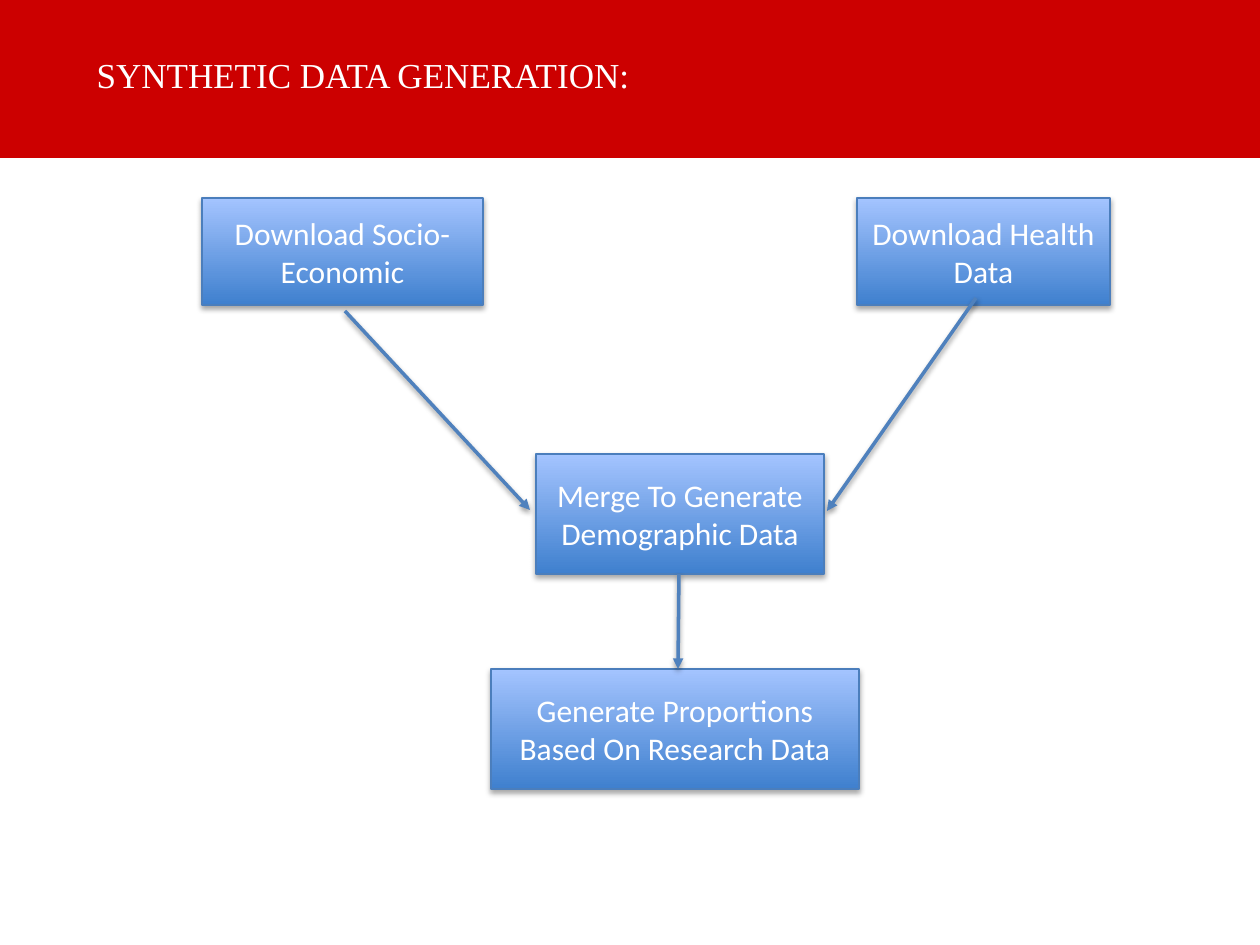
from pptx import Presentation
from pptx.dml.color import RGBColor
from pptx.enum.shapes import MSO_CONNECTOR as LINK, MSO_SHAPE as SHAPE
from pptx.enum.text import MSO_ANCHOR as ANCHOR, PP_ALIGN as ALIGN
from pptx.oxml.ns import qn
from pptx.util import Pt
from lxml.etree import SubElement

PX = 914400 // 126
HUES = {"bar": "CC0000", "text": "FFFFFF", "low": "3F80CE",
        "high": "A4C4FF", "edge": "4B7EBC", "arrow": "4F81BD"}
TITLE = "SYNTHETIC DATA GENERATION:"
BOXES = [
    (["Download Socio-Economic"], (202, 198, 281, 107)),
    (["Merge To Generate Demographic Data"], (536, 454, 288, 120)),
    (["Download Health Data"], (857, 198, 253, 107)),
    (["Generate Proportions", "Based On Research Data"], (491, 669, 368, 120)),
]
ARROWS = [
    (679, 574, 678, 669),
    (345, 311, 530, 510),
    (976, 298, 827, 511),
]


def scale(nums):
    return [n * PX for n in nums]


def hue(name):
    return RGBColor.from_string(HUES[name])


def write(frame, lines, font, size, align):
    frame.word_wrap = True
    frame.vertical_anchor = ANCHOR.MIDDLE
    frame.text = "\n".join(lines)
    for para in frame.paragraphs:
        para.alignment = align
        para.font.name = font
        para.font.size = Pt(size)
        para.font.color.rgb = hue("text")


def add_bar(slide):
    bar = slide.shapes.add_shape(SHAPE.RECTANGLE, *scale((0, 0, 1260, 158)))
    bar.fill.solid()
    bar.fill.fore_color.rgb = hue("bar")
    bar.line.fill.background()
    bar.shadow.inherit = False
    slide.shapes.title._element.addprevious(bar._element)


def add_title(slide):
    title = slide.shapes.title
    title.left, title.top, title.width, title.height = scale((84, -4, 1036, 158))
    write(title.text_frame, [TITLE], "Times New Roman", 20, ALIGN.LEFT)


def add_box(slide, lines, place):
    box = slide.shapes.add_shape(SHAPE.RECTANGLE, *scale(place))
    box.fill.gradient()
    box.fill.gradient_angle = 90
    for stop, name, spot in zip(box.fill.gradient_stops, ("low", "high"), (0, 1)):
        stop.color.rgb = hue(name)
        stop.position = spot
    box.line.color.rgb = hue("edge")
    box.line.width = Pt(0.75)
    write(box.text_frame, lines, "Calibri", 18, ALIGN.CENTER)


def add_arrow(slide, ends):
    arrow = slide.shapes.add_connector(LINK.STRAIGHT, *scale(ends))
    arrow.line.color.rgb = hue("arrow")
    arrow.line.width = Pt(2)
    SubElement(arrow.line._get_or_add_ln(), qn("a:tailEnd"), type="triangle")


def main():
    deck = Presentation()
    deck.slide_width, deck.slide_height = scale((1260, 945))
    slide = deck.slides.add_slide(deck.slide_layouts[5])
    add_bar(slide)
    add_title(slide)
    for lines, place in BOXES:
        add_box(slide, lines, place)
    for ends in ARROWS:
        add_arrow(slide, ends)
    deck.save("out.pptx")


if __name__ == "__main__":
    main()
